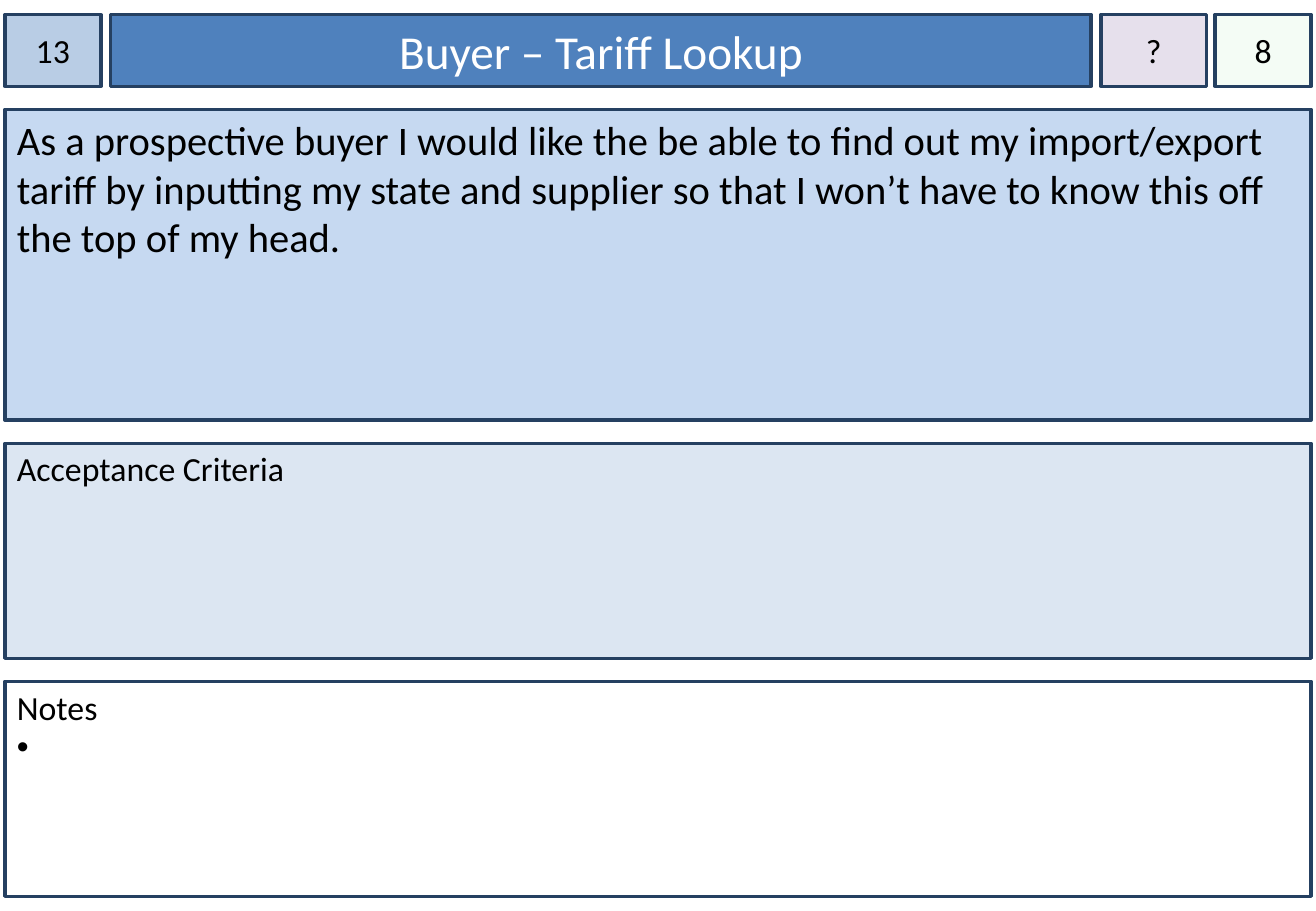
"""Builds a user story card for the buyer tariff lookup."""
from dataclasses import dataclass

from lxml import etree
from pptx import Presentation
from pptx.dml.color import RGBColor
from pptx.enum.shapes import MSO_SHAPE
from pptx.enum.text import MSO_ANCHOR, PP_ALIGN
from pptx.oxml.ns import qn
from pptx.util import Inches, Pt


@dataclass(frozen=True)
class Theme:
    font: str = "Calibri"
    border: str = "254061"
    ink: str = "000000"
    paper: str = "FFFFFF"
    story_id: str = "B9CDE5"
    title: str = "4F81BD"
    story: str = "C6D9F1"
    criteria: str = "DCE6F2"
    priority: str = "E6E0EC"
    estimate: str = "CCF0CD"
    title_size: int = 28
    story_size: int = 24
    label_size: int = 20
    border_width: int = 2


THEME = Theme()
LEFT, WIDTH = 0.04, 10.75
HEADER_TOP, HEADER_HEIGHT = 0.12, 0.59


def add_box(slide, left, top, width, height, fill):
    box = slide.shapes.add_shape(
        MSO_SHAPE.RECTANGLE, Inches(left), Inches(top), Inches(width), Inches(height))
    box.shadow.inherit = False
    box.fill.solid()
    box.fill.fore_color.rgb = RGBColor.from_string(fill)
    box.line.color.rgb = RGBColor.from_string(THEME.border)
    box.line.width = Pt(THEME.border_width)
    box.text_frame.word_wrap = True
    return box


def style_paragraph(paragraph, size, color=THEME.ink, align=PP_ALIGN.LEFT):
    paragraph.alignment = align
    paragraph.font.name = THEME.font
    paragraph.font.size = Pt(size)
    paragraph.font.color.rgb = RGBColor.from_string(color)


def add_header(slide, left, width, text, fill, size=THEME.label_size, color=THEME.ink):
    box = add_box(slide, left, HEADER_TOP, width, HEADER_HEIGHT, fill)
    frame = box.text_frame
    frame.vertical_anchor = MSO_ANCHOR.MIDDLE
    frame.text = text
    style_paragraph(frame.paragraphs[0], size, color, PP_ALIGN.CENTER)
    return box


def add_badge(slide, left, width, text, fill):
    badge = add_header(slide, left, width, text, fill)
    badge.text_frame.margin_left = badge.text_frame.margin_right = 0
    return badge


def add_panel(slide, top, height, text, fill, size=THEME.label_size, margin_top=0.04):
    frame = add_box(slide, LEFT, top, WIDTH, height, fill).text_frame
    frame.vertical_anchor = MSO_ANCHOR.TOP
    frame.margin_top = Inches(margin_top)
    frame.text = text
    style_paragraph(frame.paragraphs[0], size)
    return frame


def add_bullet(frame, text):
    paragraph = frame.add_paragraph()
    paragraph.text = text
    properties = paragraph._p.get_or_add_pPr()
    properties.set("marL", str(Inches(0.2)))
    properties.set("indent", str(Inches(-0.2)))
    etree.SubElement(properties, qn("a:buFont")).set("typeface", "Arial")
    etree.SubElement(properties, qn("a:buChar")).set("char", "•")
    style_paragraph(paragraph, THEME.label_size)


def set_opacity(box, percent):
    color = box._element.spPr.find(qn("a:solidFill"))[0]
    etree.SubElement(color, qn("a:alpha")).set("val", str(percent * 1000))


def main():
    deck = Presentation()
    deck.slide_width, deck.slide_height = Inches(10.83), Inches(7.5)
    card = deck.slides.add_slide(deck.slide_layouts[6])

    add_badge(card, LEFT, 0.79, "13", THEME.story_id)
    add_header(card, 0.91, 8.07, "Buyer – Tariff Lookup", THEME.title,
               THEME.title_size, THEME.paper)
    add_panel(card, 0.9, 2.56,
              "As a prospective buyer I would like the be able to find out my "
              "import/export tariff by inputting my state and supplier so that I "
              "won’t have to know this off the top of my head.",
              THEME.story, THEME.story_size, margin_top=0.05)
    add_panel(card, 3.65, 1.77, "Acceptance Criteria", THEME.criteria)
    estimate = add_badge(card, 10, 0.79, "8", THEME.estimate)
    set_opacity(estimate, 20)
    priority = add_badge(card, 9.06, 0.87, "?", THEME.priority)
    priority.text_frame.word_wrap = False
    notes = add_panel(card, 5.61, 1.77, "Notes", THEME.paper)
    add_bullet(notes, " ")

    deck.save("out.pptx")


if __name__ == "__main__":
    main()
